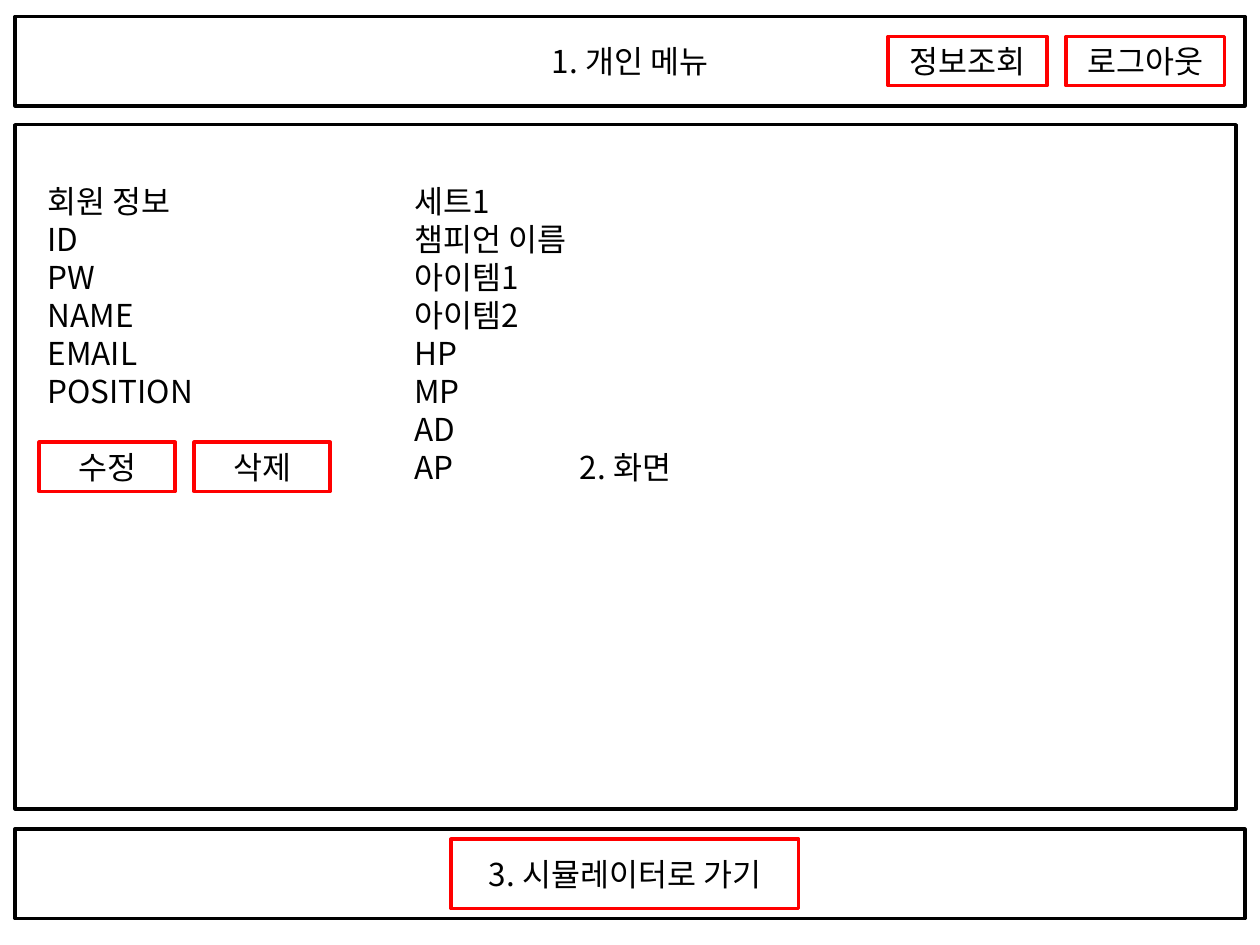
from pptx import Presentation
from pptx.util import Inches, Pt
from pptx.dml.color import RGBColor
from pptx.enum import shapes, text
from pptx.oxml.ns import qn
from lxml import etree

FONT = "Noto Sans CJK KR"
COLORS = {k: RGBColor.from_string(v) for k, v in
          {"paper": "FFFFFF", "ink": "000000", "button": "FF0000"}.items()}

prs = Presentation()
prs.slide_width, prs.slide_height = Inches(10), Inches(7.5)
s = prs.slides.add_slide(prs.slide_layouts[5])
title = s.shapes.title


def write(sp, lines, align):
    tf = sp.text_frame
    tf.word_wrap = True
    tf.text = "\n".join(lines)
    for p in tf.paragraphs:
        p.alignment = align
        p.line_spacing = Pt(21.7)
        p.font.size = Pt(18)
        p.font.name = FONT
        p.font.color.rgb = COLORS["ink"]
        # Korean glyphs take the East Asian typeface
        ea = etree.SubElement(p.font._element, qn("a:ea"))
        ea.set("typeface", FONT)


def box(sp, label, color):
    sp.fill.solid()
    sp.fill.fore_color.rgb = COLORS["paper"]
    sp.line.color.rgb = COLORS[color]
    sp.line.width = Pt(2)
    if label:
        write(sp, [label], text.PP_ALIGN.CENTER)
        sp.text_frame.vertical_anchor = text.MSO_ANCHOR.MIDDLE


# Panels and header title
title.left, title.top, title.width, title.height = map(Inches, (0.12, 0.13, 9.76, 0.71))
box(title, "1. 개인 메뉴", "ink")
title.text_frame.auto_size = text.MSO_AUTO_SIZE.NONE

boxes = [
    ("2. 화면", "ink", 0.12, 0.99, 9.69, 5.43),
    ("", "ink", 0.12, 6.58, 9.76, 0.71),
    ("정보조회", "button", 7.05, 0.29, 1.26, 0.39),
    ("로그아웃", "button", 8.46, 0.29, 1.26, 0.39),
    ("수정", "button", 0.31, 3.51, 1.08, 0.39),
    ("삭제", "button", 1.54, 3.51, 1.08, 0.39),
    ("3. 시뮬레이터로 가기", "button", 3.58, 6.66, 2.76, 0.55),
]
for label, color, *at in boxes:
    sp = s.shapes.add_shape(shapes.MSO_SHAPE.RECTANGLE, *map(Inches, at))
    sp.shadow.inherit = False
    box(sp, label, color)

# Member details and champion set
columns = [
    (0.28, 1.92, ["회원 정보", "ID", "PW", "NAME", "EMAIL", "POSITION"]),
    (3.19, 2.52, ["세트1", "챔피언 이름", "아이템1", "아이템2", "HP", "MP", "AD", "AP"]),
]
for left, height, lines in columns:
    sp = s.shapes.add_textbox(Inches(left), Inches(1.39), Inches(2.44), Inches(height))
    write(sp, lines, text.PP_ALIGN.LEFT)

prs.save("out.pptx")
